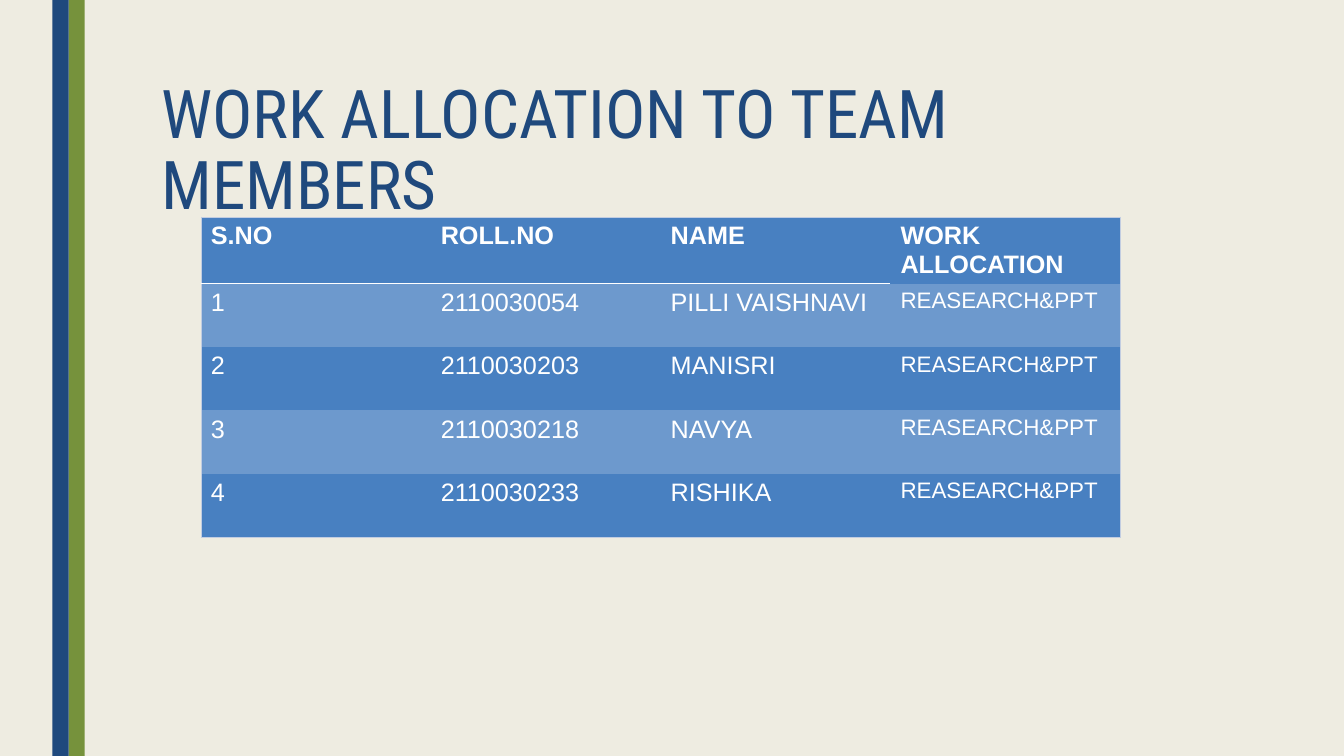
"""Build the work allocation slide with its team table."""
from lxml.etree import SubElement
from pptx import Presentation
from pptx.dml.color import RGBColor
from pptx.enum.shapes import MSO_SHAPE
from pptx.enum.text import MSO_ANCHOR, MSO_AUTO_SIZE, PP_ALIGN
from pptx.oxml.ns import qn
from pptx.util import Pt

TITLE = "WORK ALLOCATION TO TEAM MEMBERS"
ROWS = [
    ("S.NO", "ROLL.NO", "NAME", "WORK ALLOCATION"),
    ("1", "2110030054", "PILLI VAISHNAVI", "REASEARCH&PPT"),
    ("2", "2110030203", "MANISRI", "REASEARCH&PPT"),
    ("3", "2110030218", "NAVYA", "REASEARCH&PPT"),
    ("4", "2110030233", "RISHIKA", "REASEARCH&PPT"),
]
STRIPES = [(49, "76923C"), (37.5, "1F497D")]
STRIPE_WIDTH = 11.5
SLIDE_W, SLIDE_H = 960, 540
TABLE_LEFT, TABLE_TOP = 143.5, 155
COL_WIDTH, HEAD_HEIGHT, ROW_HEIGHT = 164.2, 33.1, 45.3
BASE, BAND, EDGE = "4880C1", "6D99CD", "C2CDE1"
NO_GRID_STYLE = "{2D5ABB26-0587-4C30-8999-92F81FD0307C}"


def rgb(value):
    return RGBColor.from_string(value)


def style_run(p, font, size, color, bold=False):
    for r in p.runs:
        r.font.name = font
        r.font.size = Pt(size)
        r.font.bold = bold
        r.font.color.rgb = rgb(color)


def add_border(cell, side, color, width):
    ln = SubElement(cell._tc.get_or_add_tcPr(), qn(f"a:ln{side}"), w=str(Pt(width)))
    fill = SubElement(ln, qn("a:solidFill"))
    SubElement(fill, qn("a:srgbClr"), val=color)


def add_stripes(s):
    for left, color in STRIPES:
        sp = s.shapes.add_shape(MSO_SHAPE.RECTANGLE, Pt(left), Pt(0),
                                Pt(STRIPE_WIDTH), Pt(SLIDE_H))
        sp.shadow.inherit = False
        sp.fill.solid()
        sp.fill.fore_color.rgb = rgb(color)
        sp.line.fill.background()


def add_title(s):
    sp = s.shapes.title
    sp.left, sp.top, sp.width, sp.height = Pt(108), Pt(54), Pt(756), Pt(116.6)
    tf = sp.text_frame
    tf.text = TITLE
    tf.word_wrap = True
    tf.auto_size = MSO_AUTO_SIZE.NONE
    tf.vertical_anchor = MSO_ANCHOR.TOP
    p = tf.paragraphs[0]
    p.alignment = PP_ALIGN.LEFT
    p.line_spacing = 0.89
    style_run(p, "Roboto Condensed", 48, "1F497D")


def add_team_table(s):
    last_row, last_col = len(ROWS) - 1, len(ROWS[0]) - 1
    frame = s.shapes.add_table(len(ROWS), len(ROWS[0]), Pt(TABLE_LEFT), Pt(TABLE_TOP),
                               Pt(COL_WIDTH * len(ROWS[0])),
                               Pt(HEAD_HEIGHT + ROW_HEIGHT * last_row))
    table = frame.table
    next(frame._element.iter(qn("a:tableStyleId"))).text = NO_GRID_STYLE
    for col in table.columns:
        col.width = Pt(COL_WIDTH)
    for i, texts in enumerate(ROWS):
        table.rows[i].height = Pt(ROW_HEIGHT if i else HEAD_HEIGHT)
        for j, text in enumerate(texts):
            cell = table.cell(i, j)
            cell.text = text
            size = 16 if i and j == last_col else 18
            style_run(cell.text_frame.paragraphs[0], "Arial", size, "FFFFFF", i == 0)
            edges = [("L", j == 0), ("R", j == last_col), ("T", i == 0), ("B", i == last_row)]
            for side, outer in edges:
                if outer:
                    add_border(cell, side, EDGE, 0.5)
            if i == 0 and j < last_col:
                add_border(cell, "B", "FFFFFF", 1.5)
            cell.fill.solid()
            cell.fill.fore_color.rgb = rgb(BAND if i % 2 else BASE)


def main():
    prs = Presentation()
    prs.slide_width, prs.slide_height = Pt(SLIDE_W), Pt(SLIDE_H)
    s = prs.slides.add_slide(prs.slide_layouts[5])
    s.background.fill.solid()
    s.background.fill.fore_color.rgb = rgb("EEECE1")
    add_stripes(s)
    add_title(s)
    add_team_table(s)
    prs.save("out.pptx")


if __name__ == "__main__":
    main()
